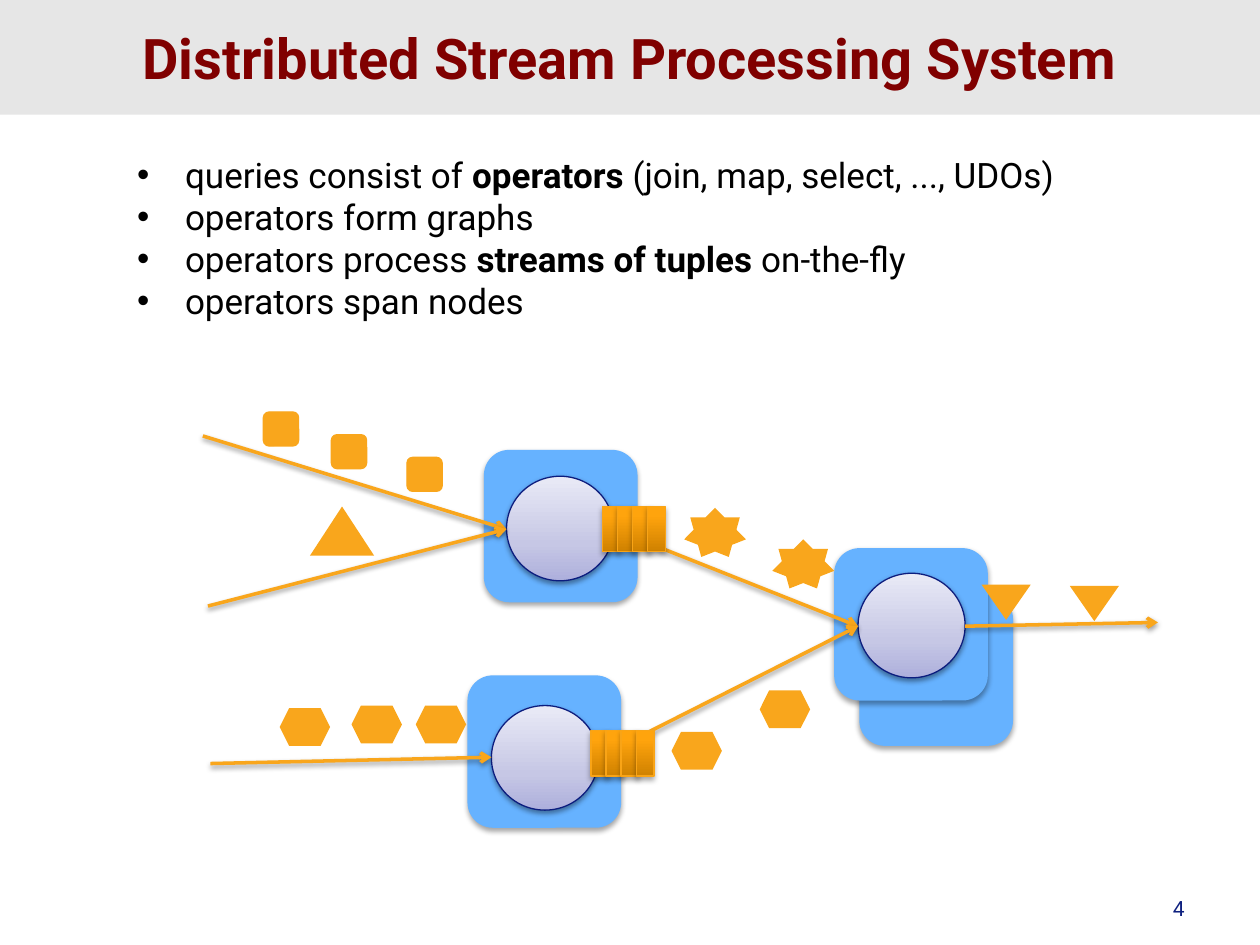
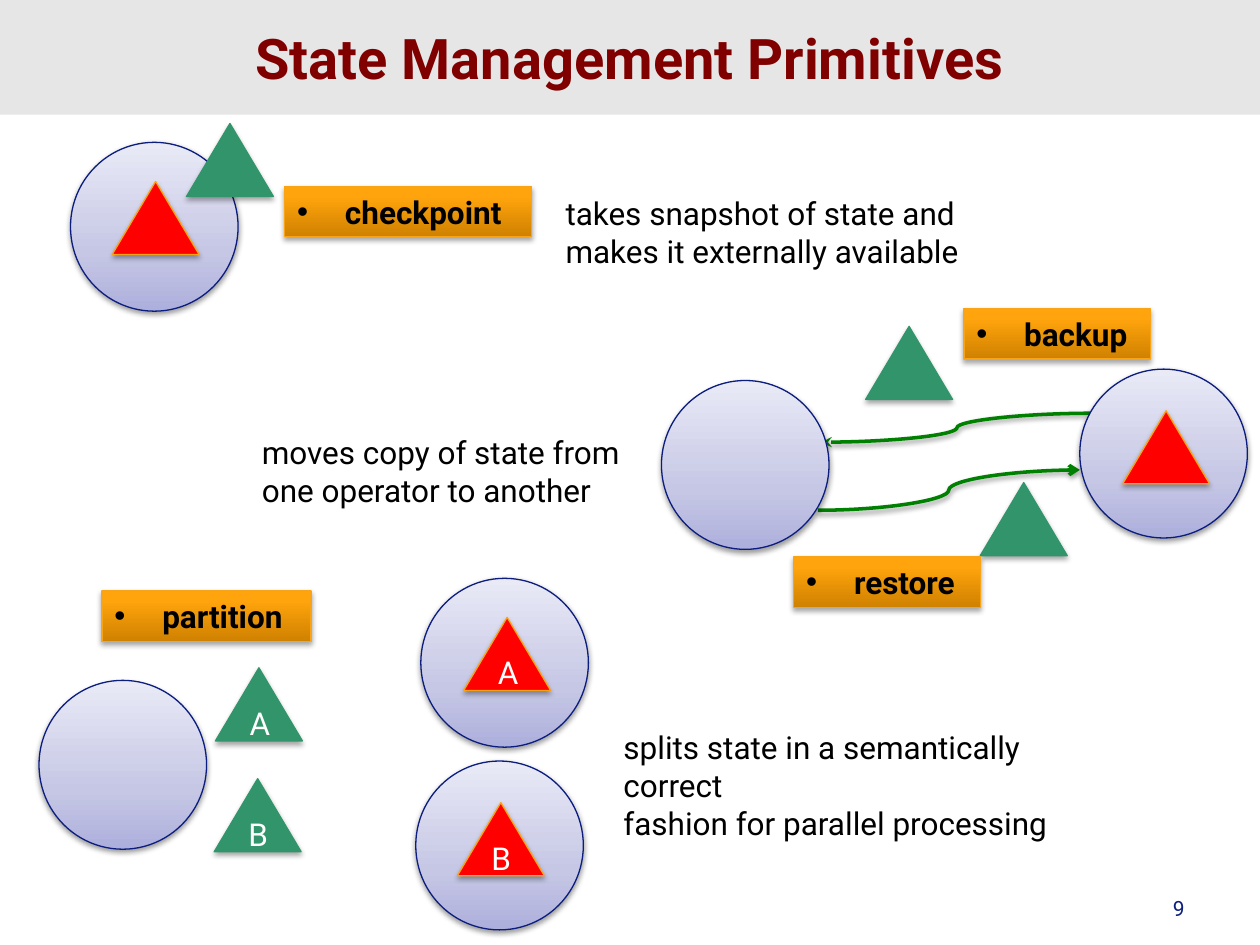
from copy import deepcopy

from lxml.etree import SubElement
from pptx import Presentation
from pptx.dml.color import RGBColor
from pptx.enum.shapes import MSO_CONNECTOR, MSO_SHAPE
from pptx.enum.text import MSO_ANCHOR, PP_ALIGN
from pptx.oxml.ns import qn
from pptx.util import Inches, Pt

FONT = "Roboto"
BLACK = RGBColor(0x00, 0x00, 0x00)
WHITE = RGBColor(0xFF, 0xFF, 0xFF)
MAROON = RGBColor(0x80, 0x00, 0x00)
BAND_GREY = RGBColor(0xE6, 0xE6, 0xE6)
NUMBER_BLUE = RGBColor(0x0E, 0x20, 0x7F)
NODE_BLUE = RGBColor(0x66, 0xB2, 0xFF)
NAVY = RGBColor(0x0B, 0x1D, 0x7F)
ORANGE = RGBColor(0xF9, 0xA6, 0x1C)
ORANGE_EDGE = RGBColor(0xF9, 0xA4, 0x16)
RED = RGBColor(0xFF, 0x00, 0x00)
GREEN = RGBColor(0x32, 0x94, 0x6A)
ARROW_GREEN = RGBColor(0x00, 0x80, 0x00)
LILAC_STOPS = ((0, RGBColor(0xAD, 0xAF, 0xDC)), (0.35, RGBColor(0xC6, 0xC7, 0xE5)),
               (1, RGBColor(0xE9, 0xEA, 0xF6)))
AMBER_STOPS = ((0, RGBColor(0xCF, 0x81, 0x00)), (0.8, RGBColor(0xFF, 0xA4, 0x0D)),
               (1, RGBColor(0xFF, 0xA5, 0x0F)))


def add_shadow(sp_pr, dist, alpha):
    """Give a shape or connector a soft shadow that falls downwards."""
    effects = sp_pr.find(qn("a:effectLst"))
    if effects is None:
        effects = SubElement(sp_pr, qn("a:effectLst"))
    shadow = SubElement(effects, qn("a:outerShdw"), blurRad=str(Pt(3.1)),
                        dist=str(Pt(dist)), dir="5400000", rotWithShape="0")
    color = SubElement(shadow, qn("a:srgbClr"), val="000000")
    SubElement(color, qn("a:alpha"), val=str(alpha * 1000))


def fill_gradient(sp, stops):
    """Fill a shape with a vertical three-stop gradient."""
    sp.fill.gradient()
    sp.fill.gradient_angle = 90
    first = sp.fill._xPr.find(".//" + qn("a:gs"))
    first.addnext(deepcopy(first))
    for stop, (position, color) in zip(sp.fill.gradient_stops, stops):
        stop.position = position
        stop.color.rgb = color


def add_figure(shapes, kind, x, y, w, h, fill, line=None, shadow=None):
    """Add a preset shape; fill is a colour or a tuple of gradient stops."""
    sp = shapes.add_shape(kind, Inches(x), Inches(y), Inches(w), Inches(h))
    sp.shadow.inherit = False
    if isinstance(fill, RGBColor):
        sp.fill.solid()
        sp.fill.fore_color.rgb = fill
    else:
        fill_gradient(sp, fill)
    if line is None:
        sp.line.fill.background()
    else:
        sp.line.color.rgb = line
        sp.line.width = Pt(0.75)
    if shadow:
        add_shadow(sp._element.spPr, *shadow)
    return sp


def write(sp, text, size, color, bold=False, align=PP_ALIGN.LEFT, anchor=MSO_ANCHOR.TOP):
    """Set the text of a shape and format every run alike."""
    tf = sp.text_frame
    tf.text = text
    tf.word_wrap = True
    tf.vertical_anchor = anchor
    for p in tf.paragraphs:
        p.alignment = align
        for r in p.runs:
            format_run(r, size, color, bold)


def format_run(r, size, color, bold):
    """Set the font of one run."""
    r.font.name = FONT
    r.font.size = Pt(size)
    r.font.color.rgb = color
    r.font.bold = bold


def add_bullet(p):
    """Turn a paragraph into a hanging bullet item."""
    p_pr = p._p.get_or_add_pPr()
    p_pr.set("marL", str(Inches(0.38)))
    p_pr.set("indent", str(Inches(-0.38)))
    SubElement(p_pr, qn("a:buFont"), typeface="Arial")
    SubElement(p_pr, qn("a:buChar"), char="•")


def add_text(s, x, y, w, h, text, size=18, color=BLACK, align=PP_ALIGN.LEFT):
    """Add a plain text box."""
    sp = s.shapes.add_textbox(Inches(x), Inches(y), Inches(w), Inches(h))
    write(sp, text, size, color, align=align)
    return sp


def add_bullets(s, x, y, w, h, lines):
    """Add a bullet list in which text between asterisks is bold."""
    tf = add_text(s, x, y, w, h, "").text_frame
    for i, line in enumerate(lines):
        p = tf.add_paragraph() if i else tf.paragraphs[0]
        add_bullet(p)
        for j, part in enumerate(line.split("*")):
            r = p.add_run()
            r.text = part
            format_run(r, 20, BLACK, j % 2 == 1)


def add_arrow(s, start, end, color=ORANGE, kind=MSO_CONNECTOR.STRAIGHT, head="arrow"):
    """Add a shadowed connector with an arrowhead at its end."""
    points = [Inches(v) for v in (*start, *end)]
    arrow = s.shapes.add_connector(kind, *points)
    arrow.line.color.rgb = color
    arrow.line.width = Pt(2)
    SubElement(arrow.line._get_or_add_ln(), qn("a:tailEnd"), type=head)
    add_shadow(arrow._element.spPr, 1.6, 38)


def add_node(s, x, y):
    """Add the blue tile of a node."""
    add_figure(s.shapes, MSO_SHAPE.ROUNDED_RECTANGLE, x, y, 1.22, 1.21,
               NODE_BLUE, shadow=(1.8, 35))


def add_operator(s, x, y, w=1.33, h=1.34):
    """Add the lilac circle of an operator."""
    add_figure(s.shapes, MSO_SHAPE.OVAL, x, y, w, h, LILAC_STOPS, NAVY, (1.6, 38))


def add_tuples(s, kind, w, h, places, line=None):
    """Add the tuples of one stream."""
    for x, y in places:
        add_figure(s.shapes, kind, x, y, w, h, ORANGE, line)


def add_buffer(s, x, y):
    """Add a group of four overlapping buffer slots."""
    group = s.shapes.add_group_shape()
    for i in range(4):
        add_figure(group.shapes, MSO_SHAPE.RECTANGLE, x + 0.12 * i, y, 0.14, 0.36,
                   AMBER_STOPS, ORANGE_EDGE, (1.8, 35))


def add_state(s, x, y, color, edge, text=""):
    """Add a state triangle, optionally with the name of its part."""
    sp = add_figure(s.shapes, MSO_SHAPE.ISOSCELES_TRIANGLE, x, y, 0.69, 0.58,
                    color, edge, (1.8, 35))
    if text:
        write(sp, text, 18, WHITE, align=PP_ALIGN.CENTER, anchor=MSO_ANCHOR.MIDDLE)


def add_primitive(s, x, y, w, text):
    """Add the amber label of a primitive."""
    sp = add_figure(s.shapes, MSO_SHAPE.RECTANGLE, x, y, w, 0.4,
                    AMBER_STOPS, ORANGE_EDGE, (1.8, 35))
    write(sp, text, 18, BLACK, bold=True)
    add_bullet(sp.text_frame.paragraphs[0])


def add_slide(prs, title, number):
    """Add a slide with its title band and number."""
    s = prs.slides.add_slide(prs.slide_layouts[6])
    band = add_figure(s.shapes, MSO_SHAPE.RECTANGLE, 0, 0, 10, 0.91, BAND_GREY)
    write(band, title, 32, MAROON, True, PP_ALIGN.CENTER, MSO_ANCHOR.MIDDLE)
    add_text(s, 7.42, 7.06, 2.08, 0.28, number, 12, NUMBER_BLUE, PP_ALIGN.RIGHT)
    return s


def build_stream_system(prs):
    """Build the slide on the stream processing system."""
    s = add_slide(prs, "Distributed Stream Processing System", "4")
    add_bullets(s, 0.99, 1.17, 7.95, 1.45, (
        "queries consist of *operators* (join, map, select, ..., UDOs)",
        "operators form graphs",
        "operators process *streams of tuples *on-the-fly",
        "operators span nodes"))

    for x, y in ((6.82, 4.71), (3.84, 3.57), (6.62, 4.35), (3.71, 5.36)):
        add_node(s, x, y)
    for x, y in ((4.02, 3.78), (6.81, 4.55), (3.9, 5.6)):
        add_operator(s, x, y, 0.85, 0.83)

    join_in, merge_in = (4.02, 4.2), (6.81, 4.97)
    for start, end in (((4.87, 4.2), merge_in), ((1.61, 3.46), join_in),
                       ((1.65, 4.81), join_in), ((1.67, 6.06), (3.9, 6.01)),
                       ((4.75, 6.01), merge_in), ((7.66, 4.97), (9.19, 4.94))):
        add_arrow(s, start, end)

    add_tuples(s, MSO_SHAPE.FLOWCHART_ALTERNATE_PROCESS, 0.28, 0.27,
               ((2.09, 3.27), (2.63, 3.45), (3.23, 3.63)), ORANGE)
    add_tuples(s, MSO_SHAPE.ISOSCELES_TRIANGLE, 0.51, 0.39, ((2.46, 4.02),))
    add_tuples(s, MSO_SHAPE.HEXAGON, 0.4, 0.3,
               ((2.22, 5.62), (2.79, 5.6), (3.3, 5.6), (5.33, 5.81), (6.03, 5.48)))
    add_tuples(s, MSO_SHAPE.STAR_7_POINT, 0.49, 0.39, ((5.43, 4.03), (6.13, 4.28)))
    add_tuples(s, MSO_SHAPE.FLOWCHART_MERGE, 0.39, 0.28, ((7.79, 4.64), (8.49, 4.65)))

    add_buffer(s, 4.78, 4.02)
    add_buffer(s, 4.69, 5.8)


def build_primitives(prs):
    """Build the slide on the state management primitives."""
    s = add_slide(prs, "State Management Primitives", "9")
    add_arrow(s, (8.67, 3.28), (6.52, 3.51), ARROW_GREEN, MSO_CONNECTOR.CURVE, "stealth")
    add_arrow(s, (6.49, 4.05), (8.57, 3.73), ARROW_GREEN, MSO_CONNECTOR.CURVE)

    for x, y in ((0.56, 1.13), (8.57, 2.93), (5.25, 3.02),
                 (3.34, 4.59), (0.31, 5.4), (3.3, 6.04)):
        add_operator(s, x, y)

    for x, y, text in ((0.89, 1.44, ""), (8.91, 3.26, ""),
                       (3.68, 4.9, "A"), (3.63, 6.37, "B")):
        add_state(s, x, y, RED, ORANGE_EDGE, text)
    for x, y, text in ((1.48, 0.98, ""), (6.87, 2.59, ""), (7.78, 3.83, ""),
                       (1.71, 5.3, "A"), (1.7, 6.18, "B")):
        add_state(s, x, y, GREEN, GREEN, text)

    for x, y, w, text in ((2.26, 1.48, 1.96, "checkpoint"), (7.65, 2.45, 1.48, "backup"),
                          (6.3, 4.42, 1.48, "restore"), (0.81, 4.69, 1.66, "partition")):
        add_primitive(s, x, y, w, text)

    add_text(s, 4.39, 1.49, 3.34, 0.71,
             "takes snapshot of state and\nmakes it externally available")
    add_text(s, 1.98, 3.39, 3.04, 0.71,
             "moves copy of state from\none operator to another")
    add_text(s, 4.85, 5.73, 4.17, 0.71,
             "splits state in a semantically correct \vfashion for parallel processing")


def main():
    """Build and save the presentation."""
    prs = Presentation()
    prs.slide_width = Inches(10)
    prs.slide_height = Inches(7.5)
    build_stream_system(prs)
    build_primitives(prs)
    prs.save("out.pptx")


if __name__ == "__main__":
    main()
